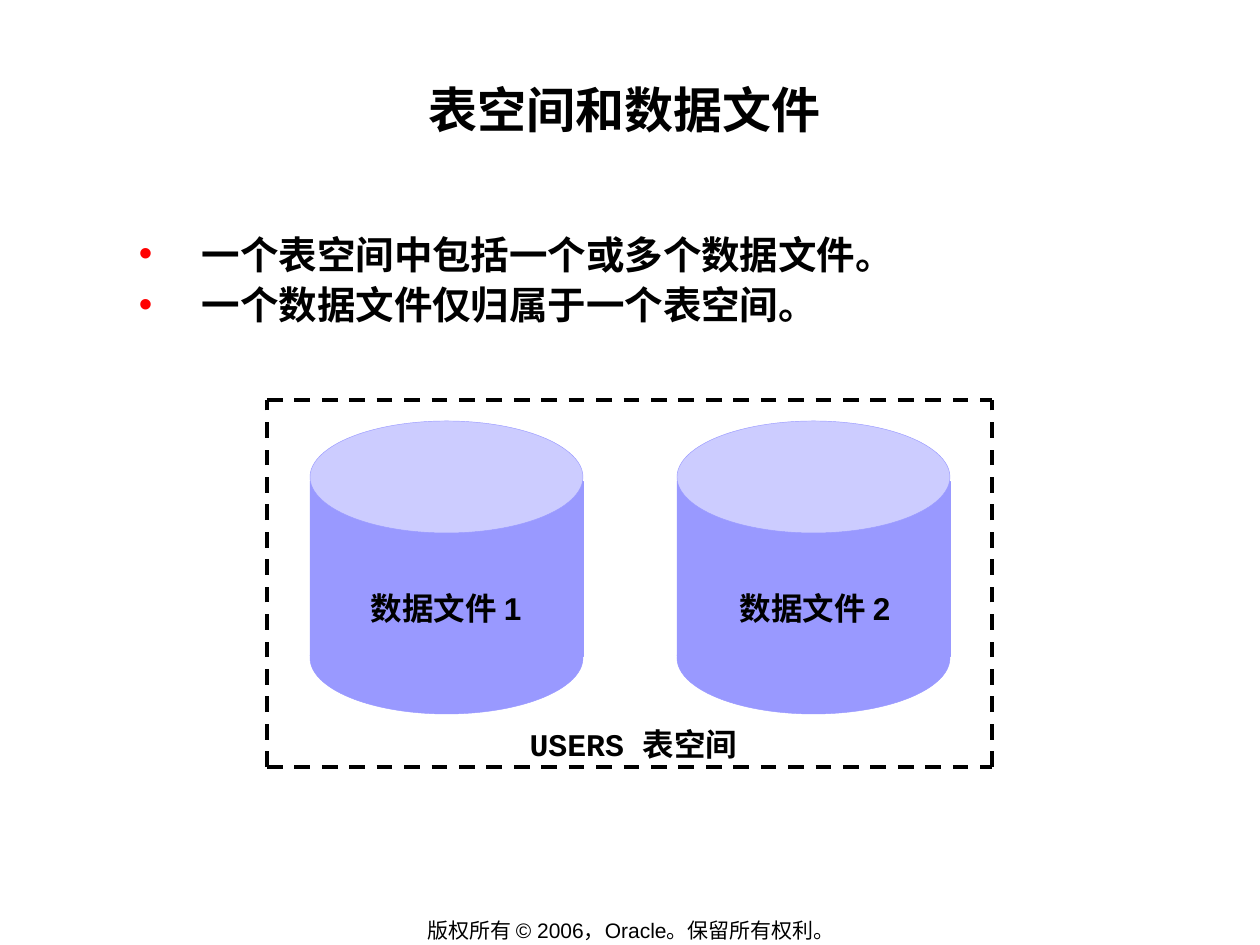
import pptx
import pptx.util
import pptx.oxml
import pptx.oxml.ns
import pptx.dml.color
import pptx.enum.dml
import pptx.enum.shapes
import pptx.enum.text
import lxml.etree

PX = 914400 / 126
BLACK = pptx.dml.color.RGBColor(0x00, 0x00, 0x00)
RED = pptx.dml.color.RGBColor(0xFF, 0x00, 0x00)
BLUE = pptx.dml.color.RGBColor(0x99, 0x99, 0xFF)
PALE = pptx.dml.color.RGBColor(0xCC, 0xCC, 0xFF)
SHAPE = pptx.enum.shapes.MSO_SHAPE
AUTO = pptx.enum.text.MSO_AUTO_SIZE
ANCHOR = pptx.enum.text.MSO_ANCHOR
ALIGN = pptx.enum.text.PP_ALIGN
qn = pptx.oxml.ns.qn


def px(*values):
    return [round(v * PX) for v in values]


def add_text(box, paragraphs, size, bold=True, align=ALIGN.CENTER, spacing=1.0,
             inset=(1, 1), wrap=True, anchor=ANCHOR.TOP, auto=AUTO.NONE, bullet=False):
    tf = slide.shapes.add_textbox(*px(*box)).text_frame
    tf.word_wrap = wrap
    tf.auto_size = auto
    tf.vertical_anchor = anchor
    tf.margin_left, tf.margin_top = tf.margin_right, tf.margin_bottom = px(*inset)
    for i, runs in enumerate(paragraphs):
        p = tf.add_paragraph() if i else tf.paragraphs[0]
        p.alignment = align
        p.line_spacing = spacing
        if bullet:
            pPr = p._p.get_or_add_pPr()
            indent, = px(63)
            pPr.set("marL", str(px(79)[0]))
            pPr.set("indent", str(-indent))
            clr = lxml.etree.SubElement(pPr, qn("a:buClr"))
            lxml.etree.SubElement(clr, qn("a:srgbClr")).set("val", str(RED))
            lxml.etree.SubElement(pPr, qn("a:buFont")).set("typeface", "Arial")
            lxml.etree.SubElement(pPr, qn("a:buChar")).set("char", "•")
        for text, font in runs:
            r = p.add_run()
            r.text = text
            r.font.name = font
            r.font.size = pptx.util.Pt(size)
            r.font.bold = bold
            r.font.color.rgb = BLACK


prs = pptx.Presentation()
prs.slide_width, prs.slide_height = px(1260, 945)
slide = prs.slides.add_slide(prs.slide_layouts[6])

add_text((348, 917, 566, 26), [[("版权所有 © 2006，Oracle。保留所有权利。", "Arial")]], 12,
         bold=False, inset=(13, 6), wrap=False, anchor=ANCHOR.MIDDLE)
add_text((126, 73, 1008, 121), [[("表空间和数据文件 ", "Arial")]], 28, spacing=1.1)
add_text((122, 225, 1016, 115),
         [[("一个表空间中包括一个或多个数据文件。", "Arial")],
          [("一个数据文件仅归属于一个表空间。", "Arial")]],
         22, align=ALIGN.LEFT, spacing=1.1, bullet=True)

for left in (677, 310):
    for kind, top, height, color in ((SHAPE.RECTANGLE, 481, 175, BLUE),
                                     (SHAPE.OVAL, 421, 112, PALE),
                                     (SHAPE.OVAL, 602, 112, BLUE)):
        sp = slide.shapes.add_shape(kind, *px(left, top, 273, height))
        sp.shadow.inherit = False
        sp.fill.solid()
        sp.fill.fore_color.rgb = color
        sp.line.color.rgb = BLUE
        sp.line.width = pptx.util.Pt(0.25)

x1, y1, x2, y2 = 267, 400, 992, 767
for ends in ((x1, y2, x2, y2), (x1, y1, x2, y1), (x1, y2, x1, y1), (x2, y2, x2, y1)):
    line = slide.shapes.add_connector(pptx.enum.shapes.MSO_CONNECTOR.STRAIGHT, *px(*ends))
    line.line.color.rgb = BLACK
    line.line.width = pptx.util.Pt(2.25)
    line.line.dash_style = pptx.enum.dml.MSO_LINE.DASH
    lxml.etree.SubElement(line._element.spPr, qn("a:effectLst"))

for box, runs in (((455, 727, 357, 40), [("USERS ", "Courier New"), ("表空间", "Arial")]),
                  ((345, 591, 202, 40), [("数据文件 1", "Arial")]),
                  ((714, 591, 202, 40), [("数据文件 2", "Arial")])):
    add_text(box, [runs], 18, spacing=0.85, inset=(8, 4), auto=AUTO.SHAPE_TO_FIT_TEXT)

prs.save("out.pptx")
